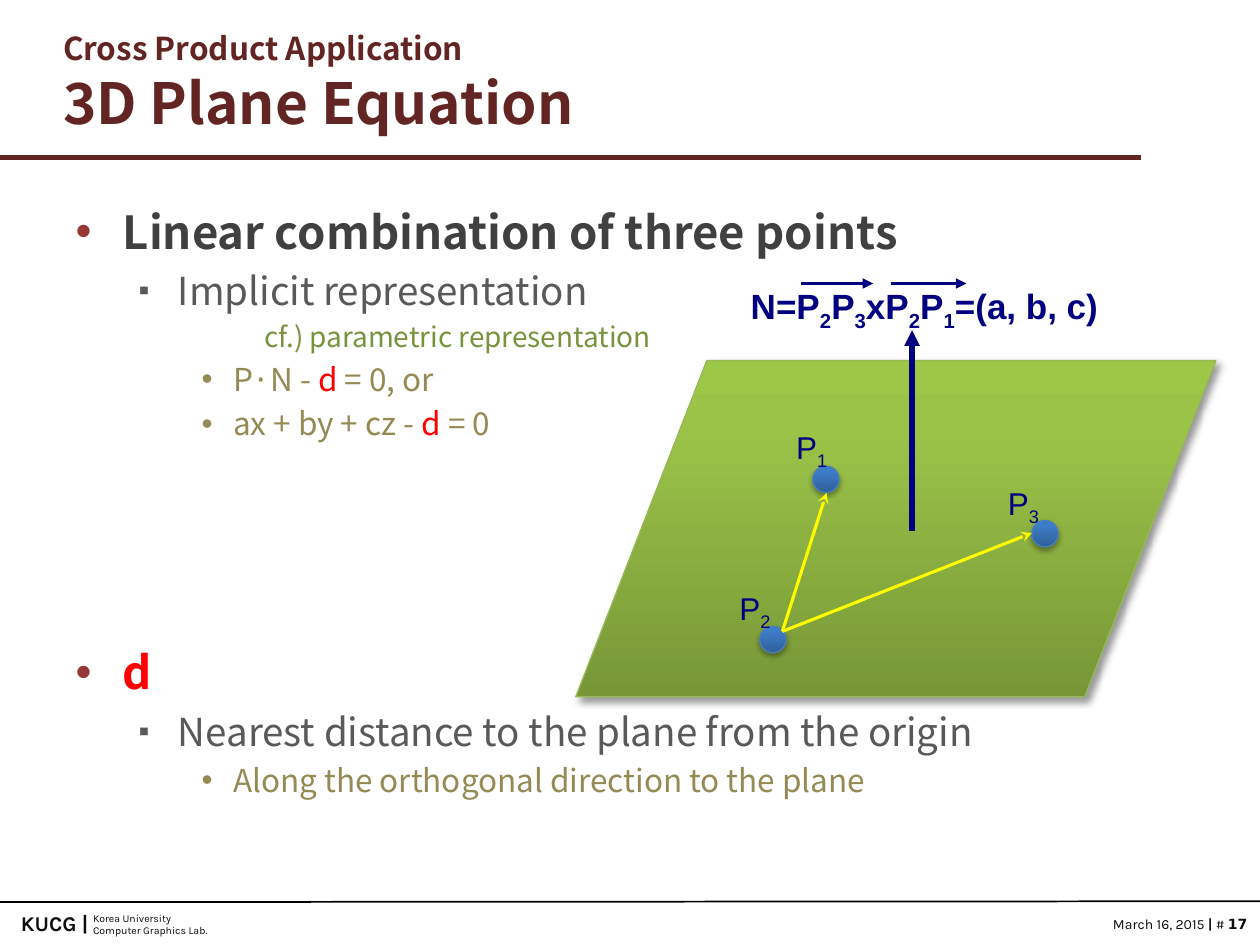
import pptx
import pptx.dml.color
import pptx.enum.shapes
import pptx.enum.text
import pptx.oxml
import pptx.oxml.ns
import pptx.util

Pt = pptx.util.Pt
ALIGN = pptx.enum.text.PP_ALIGN
SHAPE = pptx.enum.shapes.MSO_SHAPE
NS = pptx.oxml.ns.nsdecls("a")
COLORS = {
    "maroon": "632523", "heading": "404040", "detail": "595959", "note": "77933C",
    "equation": "948A54", "accent": "FF0000", "bullet": "953735", "footer": "0D0D0D",
    "navy": "000080", "yellow": "FFFF00", "black": "000000",
    "plane_line": "98B955", "dot_line": "4B7EBC",
}
PLANE_STOPS = {0: "779737", 80: "9BC348", 100: "9DC746"}
DOT_STOPS = {0: "2F5F99", 80: "3D7CC7", 100: "3A7CCB"}
HANGUL = "Noto Sans CJK KR"
LEADING = 1.22


def rgb(name):
    """Return the named colour."""
    return pptx.dml.color.RGBColor.from_string(COLORS[name])


def write(paragraph, text, size, color, font="Arial", bold=False, sub=False):
    """Add one formatted run to a paragraph."""
    run = paragraph.add_run()
    run.text = text
    run.font.size, run.font.name, run.font.bold = Pt(size), font, bold
    run.font.color.rgb = rgb(color)
    run_props = run.font._element
    for tag in ("ea", "cs"):
        run_props.append(pptx.oxml.parse_xml(f'<a:{tag} {NS} typeface="{font}"/>'))
    if sub:
        run_props.set("baseline", "-25000")


def text_frame(slide, left, top, width, height, wrap=False, inset_top=3.6):
    """Add a text box and return its frame."""
    frame = slide.shapes.add_textbox(Pt(left), Pt(top), Pt(width), Pt(height)).text_frame
    frame.word_wrap = wrap
    frame.margin_top = Pt(inset_top)
    return frame


def write_indexed(frame, text, **style):
    """Write text whose digits are subscripts."""
    for mark in text:
        write(frame.paragraphs[0], mark, color="navy", sub=mark.isdigit(), **style)


def rule(slide, start, end, color, width, head=None):
    """Draw a straight line, with an arrowhead at its end if one is named."""
    line = slide.shapes.add_connector(
        pptx.enum.shapes.MSO_CONNECTOR.STRAIGHT, *map(Pt, (*start, *end)))
    line.line.color.rgb = rgb(color)
    line.line.width = Pt(width)
    if head:
        line.line._get_or_add_ln().append(
            pptx.oxml.parse_xml(f'<a:tailEnd {NS} type="{head}"/>'))
    line._element.spPr.append(pptx.oxml.parse_xml(f"<a:effectLst {NS}/>"))


def glossy(slide, kind, box, stops, edge, alpha, blur, distance, angle):
    """Add a shape with an upward gradient and a soft shadow."""
    shape = slide.shapes.add_shape(kind, *map(Pt, box))
    shape.line.color.rgb = rgb(edge)
    shape.line.width = Pt(0.75)
    marks = "".join(f'<a:gs pos="{place * 1000}"><a:srgbClr val="{tone}"/></a:gs>'
                    for place, tone in stops.items())
    shape.line._get_or_add_ln().addprevious(pptx.oxml.parse_xml(
        f'<a:gradFill {NS} rotWithShape="1"><a:gsLst>{marks}</a:gsLst>'
        '<a:lin ang="16200000" scaled="0"/></a:gradFill>'))
    shape._element.spPr.append(pptx.oxml.parse_xml(
        f'<a:effectLst {NS}><a:outerShdw blurRad="{Pt(blur)}" dist="{Pt(distance)}" '
        f'dir="{angle * 60000}" algn="tl" rotWithShape="0"><a:srgbClr val="000000">'
        f'<a:alpha val="{alpha * 1000}"/></a:srgbClr></a:outerShdw></a:effectLst>'))
    return shape


def place(holder, left, top, width, height):
    """Move a placeholder and return its frame."""
    holder.left, holder.top = Pt(left), Pt(top)
    holder.width, holder.height = Pt(width), Pt(height)
    frame = holder.text_frame
    frame.word_wrap = True
    frame.auto_size = pptx.enum.text.MSO_AUTO_SIZE.NONE
    return frame


def heading(slide, *box):
    """Fill the title with its topic and name."""
    frame = place(slide.shapes.title, *box)
    frame.margin_left = Pt(14.4)
    frame.vertical_anchor = pptx.enum.text.MSO_ANCHOR.MIDDLE
    lines = (("Cross Product Application", 18), ("3D Plane Equation", 32.4))
    for index, (text, size) in enumerate(lines):
        paragraph = frame.add_paragraph() if index else frame.paragraphs[0]
        paragraph.alignment = ALIGN.LEFT
        paragraph.line_spacing = Pt(size * LEADING)
        write(paragraph, text, size, "maroon", HANGUL, bold=True)


def outline(slide, *box):
    """Fill the body with the bulleted outline."""
    styles = {
        "point": (0, 26, "heading", 27, -27, "•", "bullet", 100),
        "detail": (1, 22, "detail", 58.5, -22.5, "▪", "detail", 80),
        "note": (3, 16, "note", 108, 0, None, None, 100),
        "equation": (2, 18, "equation", 90, -18, "•", "equation", 100),
    }
    entries = [
        ("point", ["Linear combination of three points"], None),
        ("detail", ["Implicit representation"], None),
        ("note", ["cf.) parametric representation"], None),
        ("equation", ["P·N - ", "d", " = 0, or"], None),
        ("equation", ["ax + by + cz - ", "d", " = 0"], None),
        ("point", ["d"], 115),
        ("detail", ["Nearest distance to the plane from the origin"], None),
        ("equation", ["Along the orthogonal direction to the plane"], None),
    ]
    frame = place(slide.placeholders[1], *box)
    for index, (style, pieces, gap) in enumerate(entries):
        level, size, color, margin, indent, mark, tint, scale = styles[style]
        paragraph = frame.add_paragraph() if index else frame.paragraphs[0]
        paragraph.level = level
        paragraph.space_before = Pt(gap or size * 0.2)
        paragraph.line_spacing = Pt(size * LEADING)
        props = paragraph._p.get_or_add_pPr()
        props.set("marL", str(Pt(margin)))
        props.set("indent", str(Pt(indent)))
        bullet = [f"<a:buNone {NS}/>"]
        if mark:
            bullet = [f'<a:buClr {NS}><a:srgbClr val="{COLORS[tint]}"/></a:buClr>',
                      f'<a:buSzPct {NS} val="{scale * 1000}"/>',
                      f'<a:buFont {NS} typeface="Arial"/>',
                      f'<a:buChar {NS} char="{mark}"/>']
        for part in bullet:
            props.append(pptx.oxml.parse_xml(part))
        for piece in pieces:
            write(paragraph, piece, size, "accent" if piece == "d" else color,
                  HANGUL, bold=style == "point")


def plane_diagram(slide, left, top, width, height):
    """Draw the plane through three points with its normal."""
    def at(x, y):
        return left + x, top + y

    plane = glossy(slide, SHAPE.PARALLELOGRAM, (*at(0, 49), width, height - 49),
                   PLANE_STOPS, "plane_line", 40, 4, 3, 45)
    plane.adjustments[0] = 0.39
    write_indexed(text_frame(slide, *at(92.9, 0), 290, 40, inset_top=5.6),
                  "N=P2P3xP2P1=(a, b, c)", size=20, bold=True)
    points = {"P1": ((135.4, 109.4), (118.8, 82.1)),
              "P3": ((260.6, 140.4), (239.8, 113.8)),
              "P2": ((105.1, 200.9), (86.4, 174.2))}
    for name, (dot, label) in points.items():
        glossy(slide, SHAPE.OVAL, (*at(*dot), 15.1, 15.1),
               DOT_STOPS, "dot_line", 35, 3.1, 1.8, 90)
        write_indexed(text_frame(slide, *at(*label), 40, 37, inset_top=5.6), name, size=18)
    rule(slide, at(192.2, 146.2), at(192.2, 31.7), "navy", 3, "triangle")
    for tip in ((260.6, 147.6), (143.3, 124.6)):
        rule(slide, at(118.1, 203.8), at(*tip), "yellow", 1.75, "stealth")
    for start, end in ((128.9, 169.9), (180, 223.2)):
        rule(slide, at(start, 5), at(end, 5), "navy", 1.5, "triangle")


def footer(slide, left, top, width):
    """Draw the footer rule, lab name, date and page number."""
    rule(slide, (left, top), (left + width, top - 0.5), "black", 1)
    lab = text_frame(slide, left + 46.1, top + 2, 101, 21.6, wrap=True)
    for index, text in enumerate(("Korea University", "Computer Graphics Lab.")):
        paragraph = lab.add_paragraph() if index else lab.paragraphs[0]
        write(paragraph, text, 6, "footer", "Karla")
    dated = text_frame(slide, left + width - 108, top + 4.3, 108, 17.3).paragraphs[0]
    dated.alignment = ALIGN.RIGHT
    for text, font, bold in (("March 16, 2015 ", "Karla", False), ("|", "Karla", True),
                             (" # ", "Karla", False), ("17", "DejaVu Sans", True)):
        write(dated, text, 8, "footer", font, bold)
    initials = text_frame(slide, left - 2.9, top + 1.4, 60.5, 21.6).paragraphs[0]
    initials.alignment = ALIGN.RIGHT
    write(initials, "KUCG |", 12, "footer", "Karla", bold=True)


def main():
    """Build the slide and save it."""
    deck = pptx.Presentation()
    deck.slide_width, deck.slide_height = Pt(720), Pt(540)
    slide = deck.slides.add_slide(deck.slide_layouts[1])
    footer(slide, 0, 515.5, 720)
    rule(slide, (0, 90), (652.3, 90), "maroon", 3)
    heading(slide, 21.6, 15.8, 648, 62.6)
    outline(slide, 36, 112.3, 648, 382.3)
    plane_diagram(slide, 329, 157, 365.8, 241.2)
    deck.save("out.pptx")


if __name__ == "__main__":
    main()
